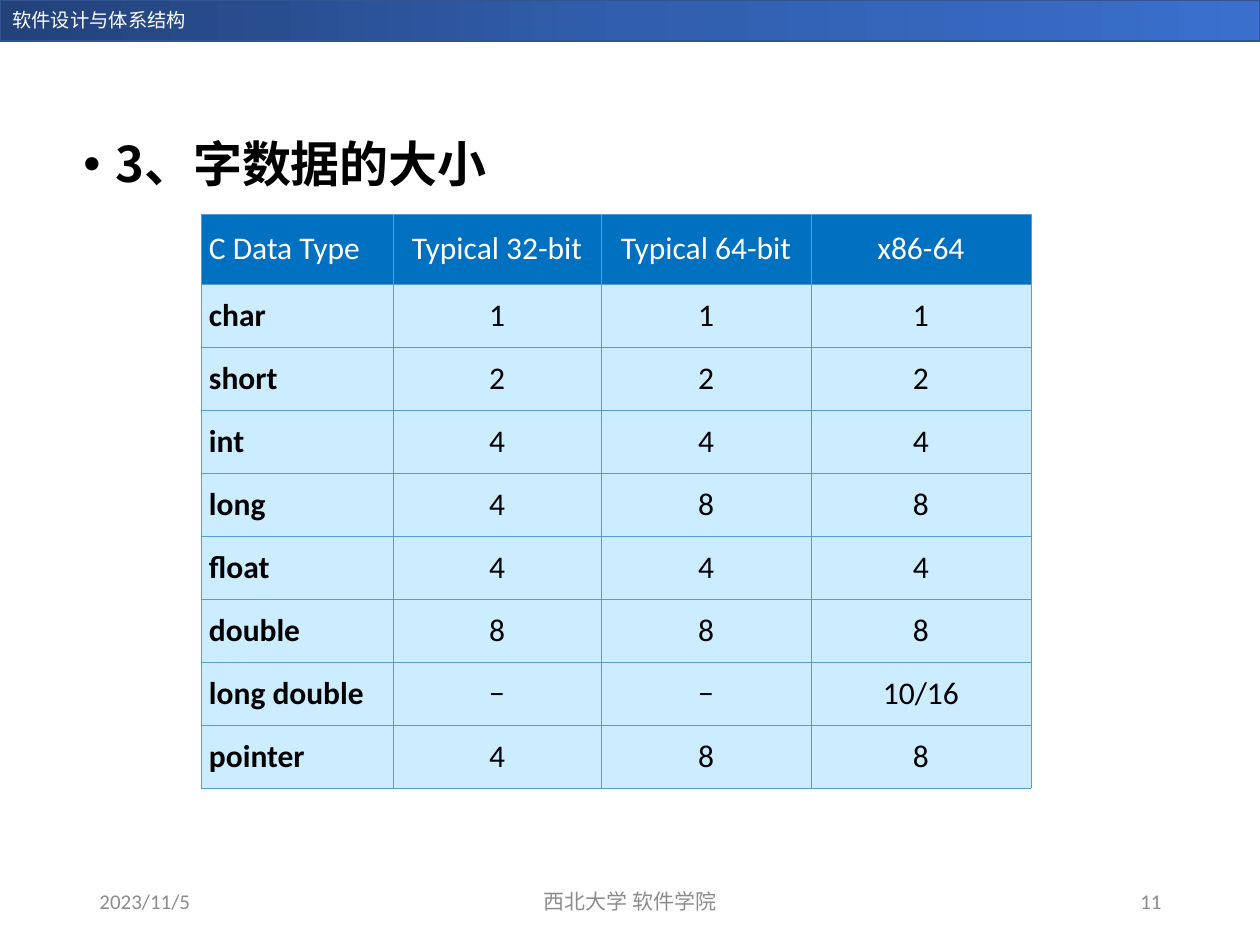
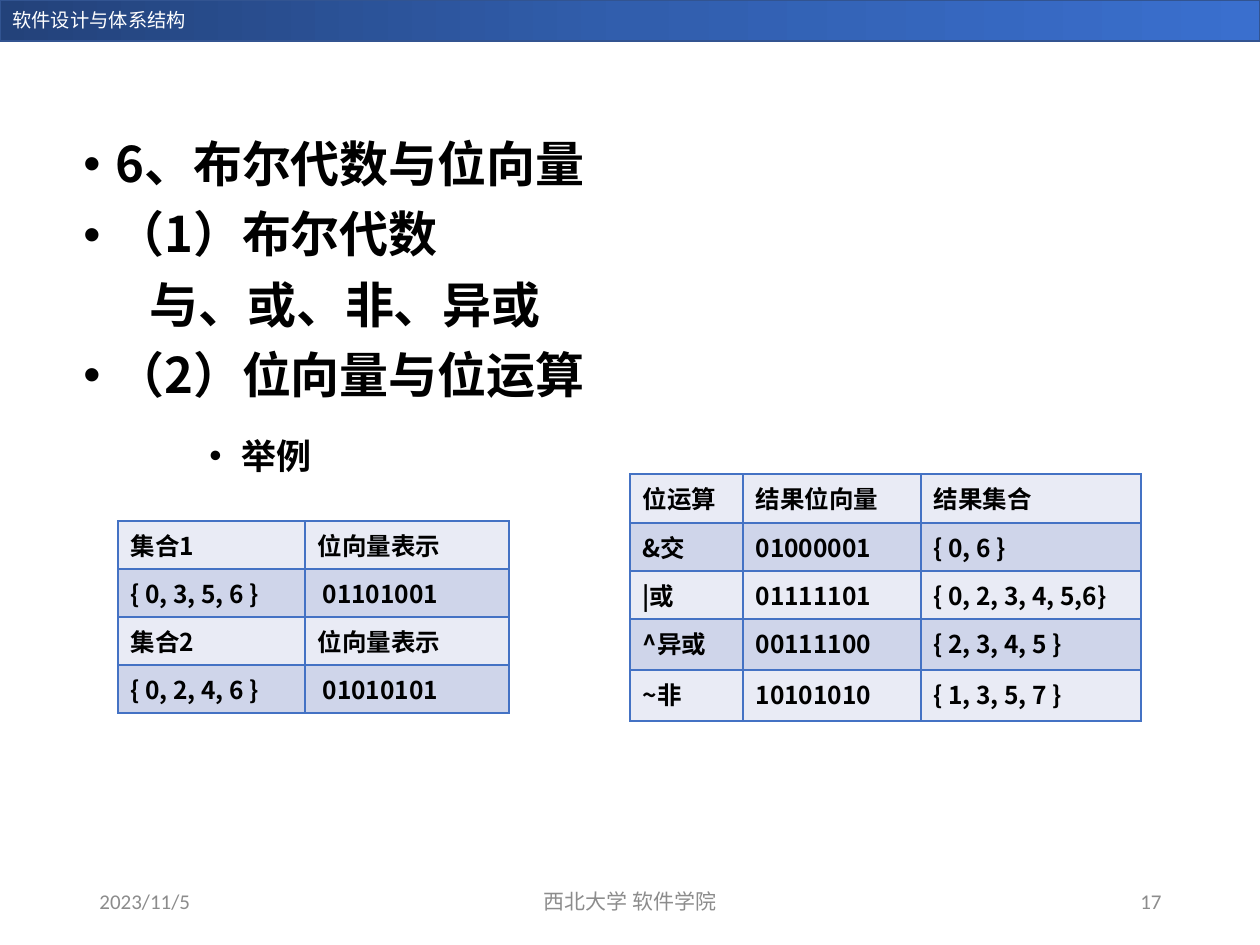
"""Builds two lecture slides on word sizes and on Boolean algebra with bit vectors."""
import copy

import pptx
import pptx.dml.color
import pptx.enum.shapes
import pptx.enum.text
import pptx.oxml.ns
import pptx.util
from lxml import etree

RGB = pptx.dml.color.RGBColor
ALIGN = pptx.enum.text.PP_ALIGN
ANCHOR = pptx.enum.text.MSO_ANCHOR
qn = pptx.oxml.ns.qn

EMU_PER_PX = 914400 / 126
LATIN = "Calibri"
CHINESE = "Noto Sans CJK SC"

WHITE = RGB(0xFF, 0xFF, 0xFF)
BLACK = RGB(0, 0, 0)
FOOTER_GREY = RGB(0x8C, 0x8C, 0x8C)
BAND_STOPS = [(0, RGB(0x23, 0x42, 0x7A)), (0.5, RGB(0x31, 0x5E, 0xAD)), (1, RGB(0x3A, 0x6F, 0xCE))]
BAND_LINE = RGB(0x32, 0x54, 0x91)
HEADER_BLUE = RGB(0, 0x70, 0xC0)
SIZE_FILL = RGB(0xCC, 0xEC, 0xFF)
SIZE_BORDER = RGB(0x5B, 0x9B, 0xD5)
VECTOR_FILLS = [RGB(0xE9, 0xEB, 0xF5), RGB(0xCF, 0xD5, 0xEA)]
VECTOR_BORDER = RGB(0x44, 0x72, 0xC4)

DATA_SIZES = [
    ["C Data Type", "Typical 32-bit", "Typical 64-bit", "x86-64"],
    ["char", "1", "1", "1"],
    ["short", "2", "2", "2"],
    ["int", "4", "4", "4"],
    ["long", "4", "8", "8"],
    ["float", "4", "4", "4"],
    ["double", "8", "8", "8"],
    ["long double", "−", "−", "10/16"],
    ["pointer", "4", "8", "8"],
]
OPERATIONS = [
    ["位运算", "结果位向量", "结果集合"],
    ["&交", "01000001", "{ 0, 6 }"],
    ["|或", "01111101", "{ 0, 2, 3, 4, 5,6}"],
    ["^异或", "00111100", "{ 2, 3, 4, 5 }"],
    ["~非", "10101010", "{ 1, 3, 5, 7 }"],
]
SETS = [
    ["集合1", "位向量表示"],
    ["{ 0, 3, 5, 6 }", "01101001"],
    ["集合2", "位向量表示"],
    ["{ 0, 2, 4, 6 }", "01010101"],
]


def px(length):
    """Turn pixels into EMU."""
    return pptx.util.Emu(round(length * EMU_PER_PX))


def style(para, size, color, name=LATIN, bold=False, align=ALIGN.LEFT):
    """Set the alignment and font of a whole paragraph."""
    para.alignment = align
    font = para.font
    font.size = pptx.util.Pt(size)
    font.bold = bold
    font.name = name
    font.color.rgb = color
    east_asian = etree.SubElement(para._p.pPr.find(qn("a:defRPr")), qn("a:ea"))
    east_asian.set("typeface", CHINESE)


def indent(para, margin, hanging=0, bullet=False):
    """Set the left margin, the hanging indent and an optional bullet."""
    properties = para._p.get_or_add_pPr()
    properties.set("marL", str(px(margin)))
    properties.set("indent", str(px(-hanging)))
    if bullet:
        font = etree.SubElement(properties, qn("a:buFont"))
        font.set("typeface", "Arial")
        etree.SubElement(properties, qn("a:buChar")).set("char", "•")


def add_text_box(slide, left, top, width, height, anchor=ANCHOR.TOP):
    """Add an empty wrapping text box and return its text frame."""
    frame = slide.shapes.add_textbox(px(left), px(top), px(width), px(height)).text_frame
    frame.word_wrap = True
    frame.vertical_anchor = anchor
    return frame


def add_label(slide, text, place, size, color, align=ALIGN.LEFT, anchor=ANCHOR.MIDDLE):
    """Add a single line of text."""
    para = add_text_box(slide, *place, anchor).paragraphs[0]
    para.text = text
    style(para, size, color, align=align)


def add_band(slide):
    """Add the gradient band with the course name."""
    band = slide.shapes.add_shape(
        pptx.enum.shapes.MSO_SHAPE.RECTANGLE, 0, 0, px(1260), px(41))
    band.shadow.inherit = False
    band.line.color.rgb = BAND_LINE
    band.line.width = pptx.util.Pt(1)
    band.fill.gradient()
    band.fill.gradient_angle = 0
    stops = band._element.spPr.find(qn("a:gradFill")).find(qn("a:gsLst"))
    stops.insert(1, copy.deepcopy(stops[0]))
    for stop, (position, color) in zip(band.fill.gradient_stops, BAND_STOPS):
        stop.position = position
        stop.color.rgb = color
    add_label(slide, "软件设计与体系结构", (0, 2, 314, 36), 11, WHITE, anchor=ANCHOR.TOP)


def add_page(deck, number):
    """Add a slide with the shared band and footers."""
    page = deck.slides.add_slide(deck.slide_layouts[6])
    add_band(page)
    footers = [
        ("2023/11/5", 87, 284, ALIGN.LEFT),
        ("西北大学 软件学院", 417, 426, ALIGN.CENTER),
        (str(number), 890, 284, ALIGN.RIGHT),
    ]
    for text, left, width, align in footers:
        add_label(page, text, (left, 876, width, 50), 12, FOOTER_GREY, align)
    return page


def add_outline(slide, items):
    """Add the bold outline from (text, kind) pairs."""
    kinds = {
        "point": (28, 32, 32, True, 0.9, 10),
        "plain": (28, 66, 0, False, 0.9, 10),
        "example": (20, 158, 32, True, 1.5, 5),
    }
    frame = add_text_box(slide, 71, 134, 1086, 600)
    for index, (text, kind) in enumerate(items):
        size, margin, hanging, bullet, spacing, before = kinds[kind]
        para = frame.add_paragraph() if index else frame.paragraphs[0]
        para.text = text
        para.line_spacing = spacing
        if index:
            para.space_before = pptx.util.Pt(before)
        indent(para, margin, hanging, bullet)
        style(para, size, BLACK, CHINESE, bold=True)


def set_borders(cell, color, width):
    """Draw all four borders of a cell."""
    properties = cell._tc.get_or_add_tcPr()
    for index, side in enumerate("LRTB"):
        line = etree.Element(qn(f"a:ln{side}"), w=str(pptx.util.Pt(width)))
        fill = etree.SubElement(line, qn("a:solidFill"))
        etree.SubElement(fill, qn("a:srgbClr")).set("val", str(color))
        properties.insert(index, line)


def add_grid(slide, left, top, widths, heights, rows, border, border_width):
    """Add a table with plain borders and yield (row, column, cell) for styling."""
    frame = slide.shapes.add_table(
        len(rows), len(widths), px(left), px(top), px(sum(widths)), px(sum(heights)))
    table = frame.table
    table.first_row = table.horz_banding = False
    for column, width in zip(table.columns, widths):
        column.width = px(width)
    for row, height in zip(table.rows, heights):
        row.height = px(height)
    for row, texts in enumerate(rows):
        for column, text in enumerate(texts):
            cell = table.cell(row, column)
            cell.text = text
            cell.fill.solid()
            set_borders(cell, border, border_width)
            yield row, column, cell


def add_size_table(slide):
    """Add the table of C data sizes."""
    heights = [70] + [63] * (len(DATA_SIZES) - 1)
    cells = add_grid(slide, 201, 214, [192, 208, 210, 220], heights, DATA_SIZES, SIZE_BORDER, 0.5)
    for row, column, cell in cells:
        cell.fill.fore_color.rgb = SIZE_FILL if row else HEADER_BLUE
        cell.vertical_anchor = ANCHOR.MIDDLE
        cell.margin_left = cell.margin_right = cell.margin_top = cell.margin_bottom = px(8)
        style(cell.text_frame.paragraphs[0], 18, BLACK if row else WHITE,
              bold=row > 0 and column == 0, align=ALIGN.CENTER if column else ALIGN.LEFT)


def add_vector_table(slide, left, top, widths, heights, rows, vector_indent=0):
    """Add a striped table of bit vectors, with its vectors indented if asked."""
    cells = add_grid(slide, left, top, widths, heights, rows, VECTOR_BORDER, 1)
    for row, column, cell in cells:
        cell.fill.fore_color.rgb = VECTOR_FILLS[row % 2]
        para = cell.text_frame.paragraphs[0]
        if vector_indent and column == 1 and row % 2:
            indent(para, vector_indent)
        style(para, 14, BLACK, CHINESE, bold=True)


def main():
    """Build and save the deck."""
    deck = pptx.Presentation()
    deck.slide_width, deck.slide_height = px(1260), px(945)

    sizes = add_page(deck, 11)
    add_outline(sizes, [("3、字数据的大小", "point")])
    add_size_table(sizes)

    vectors = add_page(deck, 17)
    add_outline(vectors, [
        ("6、布尔代数与位向量", "point"),
        ("（1）布尔代数", "point"),
        ("与、或、非、异或", "plain"),
        ("（2）位向量与位运算", "point"),
        ("举例", "example"),
    ])
    add_vector_table(vectors, 630, 474, [113, 178, 220], [49, 48, 48, 51, 51], OPERATIONS)
    add_vector_table(vectors, 118, 521, [187, 204], [48] * 4, SETS, vector_indent=5)

    deck.save("out.pptx")


if __name__ == "__main__":
    main()
